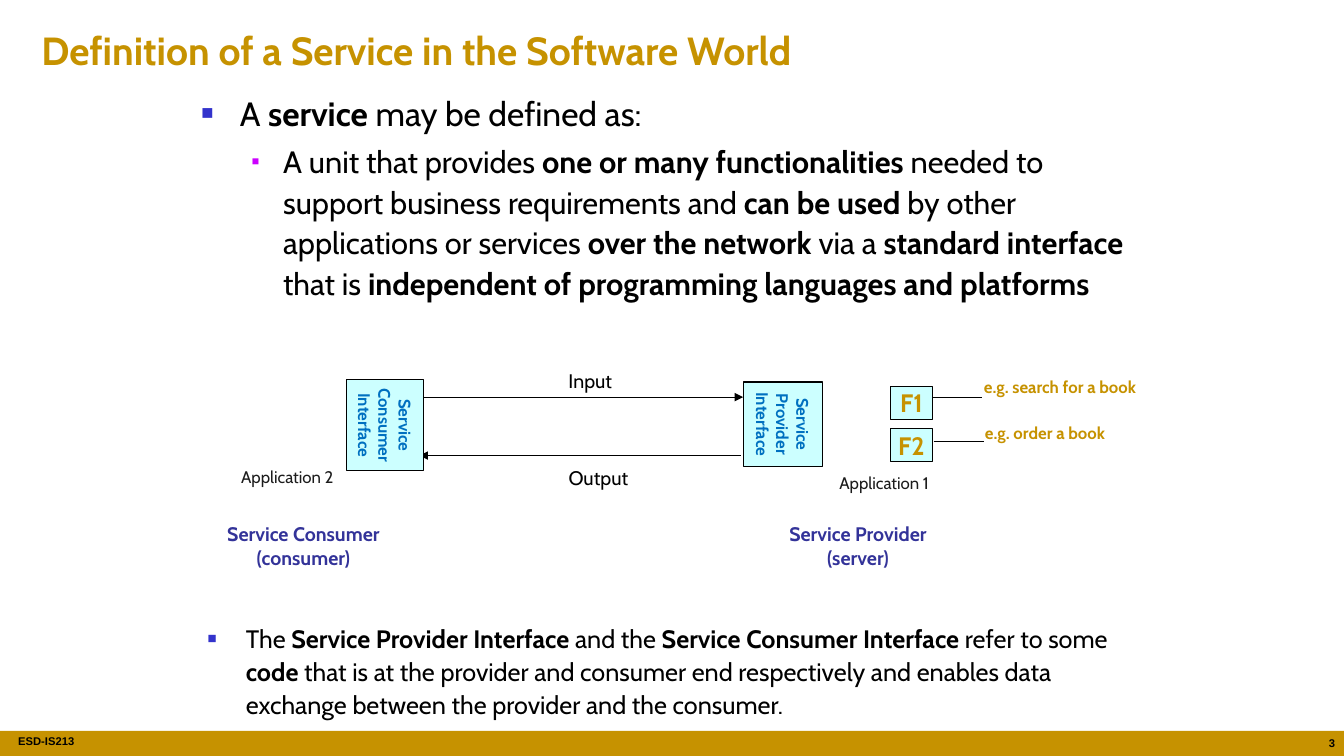
from lxml import etree
from pptx import Presentation
from pptx.dml.color import RGBColor
from pptx.enum.shapes import MSO_CONNECTOR, MSO_SHAPE
from pptx.enum.text import MSO_ANCHOR as Anchor, MSO_AUTO_SIZE as AutoSize, PP_ALIGN as Align
from pptx.oxml.ns import qn
from pptx.util import Inches, Pt

COLORS = {
    "gold": "C69200", "black": "000000", "ink": "1C1C1C", "navy": "333399",
    "blue": "0070C0", "cyan": "CCFFFF", "violet": "3333CC", "magenta": "CC00FF",
}

# Content: *stars* enclose bold words
TITLE = "*Definition of a Service in the Software World*"
DEFINITION = [
    "A *service* may be defined as:",
    "A unit that provides *one or many functionalities *needed to support business "
    "requirements and *can be used* by other applications or services *over the network* "
    "via a *standard interface *that is *independent of programming languages and platforms*",
]
SUMMARY = [
    "The *Service Provider Interface* and the *Service Consumer Interface *refer to some "
    "*code* that is at the provider and consumer end respectively and enables data "
    "exchange between the provider and the consumer.",
]
# Bullet levels: size, indent, hanging, bullet colour, bullet percent, space before
TOP = (24, 0.38, 0.38, "violet", 60, 0)
SUB = (22, 0.81, 0.31, "magenta", 40, 4.4)
NOTE = (18, 0.38, 0.38, "violet", 60, 0)

# Labels: lines, place, size, colour, alignment, wrap
LABELS = [
    (["Input"], (5.54, 3.61, 0.66, 0.33), 14, "black", Align.LEFT, False),
    (["Output"], (5.54, 4.57, 0.79, 0.33), 14, "black", Align.LEFT, False),
    (["*Service Provider*", "*(server)*"], (7.6, 5.13, 1.82, 0.57), 14, "navy", Align.CENTER, False),
    (["*Service Consumer*", "*(consumer)*"], (2.02, 5.13, 1.98, 0.57), 14, "navy", Align.CENTER, False),
    (["Application 2"], (2.24, 4.58, 1.22, 0.33), 12, "ink", Align.CENTER, True),
    (["Application 1"], (8.17, 4.64, 1.2, 0.33), 12, "ink", Align.CENTER, True),
    (["*e.g. search for a book*"], (9.66, 3.69, 2.01, 0.3), 12, "gold", Align.LEFT, True),
    (["*e.g. order a book*"], (9.67, 4.14, 1.89, 0.3), 12, "gold", Align.LEFT, True),
]
# Boxes: lines, place, size, colour, vertical text
BOXES = [
    (["*Service*", "*Consumer*", "*Interface*"], (3.44, 3.77, 0.76, 0.9), 12, "blue", True),
    (["*Service*", "*Provider*", "*Interface*"], (7.37, 3.79, 0.79, 0.84), 12, "blue", True),
    (["*F1*"], (8.83, 3.83, 0.42, 0.33), 18, "gold", False),
    (["*F2*"], (8.83, 4.25, 0.42, 0.33), 18, "gold", False),
]
# Lines: start x, end x, y, arrowhead
LINES = [
    (4.19, 7.37, 3.94, "tailEnd"),
    (4.16, 7.35, 4.52, "headEnd"),
    (9.25, 9.74, 3.94, None),
    (9.26, 9.76, 4.38, None),
]


def color(name):
    return RGBColor.from_string(COLORS[name])


def inches(place):
    return [Inches(value) for value in place]


def write(para, text, size, ink, font="Cabin"):
    for index, part in enumerate(text.split("*")):
        if part:
            span = para.add_run()
            span.text = part
            formats = {"size": Pt(size), "name": font, "bold": index % 2 == 1}
            for name, value in formats.items():
                setattr(span.font, name, value)
            span.font.color.rgb = color(ink)


def fill_text(frame, lines, size, ink, align=Align.LEFT, wrap=True, font="Cabin"):
    frame.word_wrap = wrap
    for index, line in enumerate(lines):
        para = frame.add_paragraph() if index else frame.paragraphs[0]
        para.alignment = align
        write(para, line, size, ink, font)


def add_text(place, *args, **options):
    box = page.shapes.add_textbox(*inches(place))
    fill_text(box.text_frame, *args, **options)
    return box.text_frame


def add_rect(place, fill, line=None):
    rect = page.shapes.add_shape(MSO_SHAPE.RECTANGLE, *inches(place))
    rect.shadow.inherit = False
    rect.fill.solid()
    rect.fill.fore_color.rgb = color(fill)
    if line:
        rect.line.color.rgb = color(line)
        rect.line.width = Pt(0.75)
    else:
        rect.line.fill.background()
    return rect


def add_bullets(place, lines, levels):
    frame = page.shapes.add_textbox(*inches(place)).text_frame
    frame.word_wrap = True
    for index, (line, level) in enumerate(zip(lines, levels)):
        size, indent, hanging, bullet, percent, before = level
        para = frame.add_paragraph() if index else frame.paragraphs[0]
        para.level = index
        para.line_spacing = 1.1
        para.space_before = Pt(before)
        props = para._p.get_or_add_pPr()
        props.set("marL", str(Inches(indent)))
        props.set("indent", str(-Inches(hanging)))
        tint = etree.SubElement(props, qn("a:buClr"))
        etree.SubElement(tint, qn("a:srgbClr"), val=COLORS[bullet])
        etree.SubElement(props, qn("a:buSzPct"), val=str(percent * 1000))
        etree.SubElement(props, qn("a:buFont"), typeface="Arial")
        etree.SubElement(props, qn("a:buChar"), char="■")
        write(para, line, size, "black")


deck = Presentation()
deck.slide_width, deck.slide_height = Inches(13.33), Inches(7.5)
page = deck.slides.add_slide(deck.slide_layouts[5])

# Footer band
add_rect((0, 7.25, 13.33, 0.25), "gold")
footer = add_text((0.18, 7.24, 1.72, 0.25), ["*ESD-IS213*"], 8, "black", font="Arial")
footer.margin_left = footer.margin_right = 0
add_text((12.95, 7.26, 0.39, 0.24), ["*3*"], 8, "black", Align.RIGHT, font="Arial")

# Title
title = page.shapes.title
title.left, title.top, title.width, title.height = inches((0.31, 0.21, 12.72, 0.57))
title.text_frame.auto_size = AutoSize.NONE
title.text_frame.vertical_anchor = Anchor.MIDDLE
fill_text(title.text_frame, [TITLE], 28, "gold")

# Definition and summary
add_bullets((1.9, 0.83, 9.52, 2.65), DEFINITION, [TOP, SUB])
add_bullets((1.96, 6.1, 9.52, 0.94), SUMMARY, [NOTE])

# Diagram lines
for start, end, y, arrow in LINES:
    link = page.shapes.add_connector(MSO_CONNECTOR.STRAIGHT, *inches((start, y, end, y)))
    link.line.color.rgb = color("black")
    link.line.width = Pt(0.75)
    if arrow:
        etree.SubElement(link.line._get_or_add_ln(), qn("a:" + arrow), type="triangle")
    etree.SubElement(link._element.spPr, qn("a:effectLst"))

# Diagram boxes
for lines, place, size, ink, vertical in BOXES:
    frame = add_rect(place, "cyan", "black").text_frame
    frame.vertical_anchor = Anchor.MIDDLE
    if vertical:
        frame._txBody.bodyPr.set("vert", "vert")
    fill_text(frame, lines, size, ink, Align.CENTER, False)

# Diagram labels
for lines, place, size, ink, align, wrap in LABELS:
    add_text(place, lines, size, ink, align, wrap)

deck.save("out.pptx")
